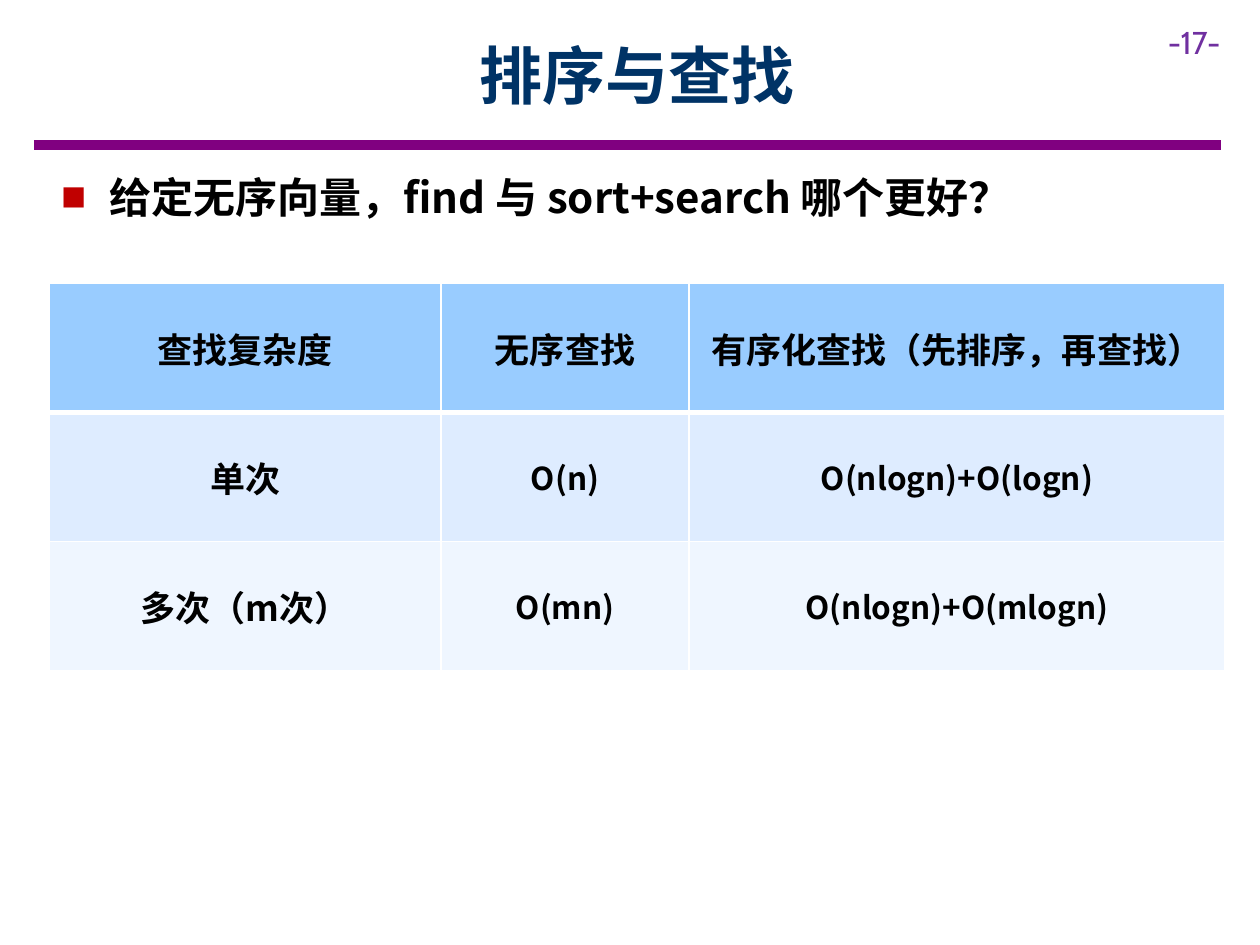
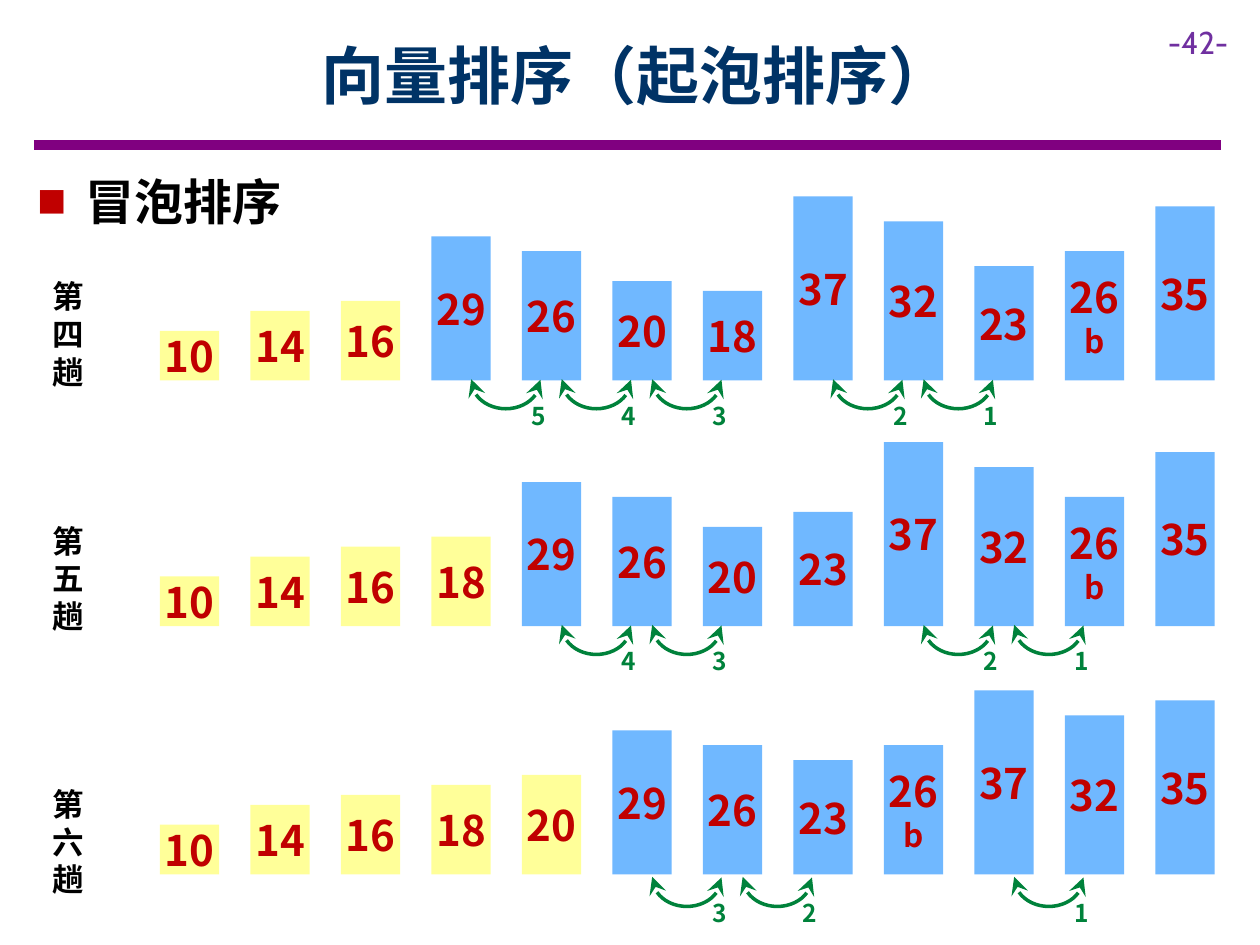
from lxml.etree import SubElement
from pptx import Presentation
from pptx.dml.color import RGBColor
from pptx.enum.shapes import MSO_CONNECTOR, MSO_SHAPE
from pptx.enum.text import MSO_ANCHOR, MSO_AUTO_SIZE, PP_ALIGN
from pptx.oxml.ns import qn
from pptx.util import Inches, Pt

NAVY = RGBColor(0x00, 0x33, 0x66)
PURPLE = RGBColor(0x80, 0x00, 0x80)
VIOLET = RGBColor(0x70, 0x30, 0xA0)
RED = RGBColor(0xC0, 0x00, 0x00)
BLACK = RGBColor(0x00, 0x00, 0x00)
WHITE = RGBColor(0xFF, 0xFF, 0xFF)
GREEN = RGBColor(0x00, 0x82, 0x3B)
BAR_BLUE = RGBColor(0x70, 0xB8, 0xFF)
SORTED_YELLOW = RGBColor(0xFF, 0xFF, 0x99)
ROW_FILLS = [RGBColor(0x99, 0xCC, 0xFF), RGBColor(0xDE, 0xEC, 0xFF), RGBColor(0xEF, 0xF6, 0xFF)]
CJK_FONT = "Noto Sans CJK SC"

HEADING = {"size": Pt(36), "name": CJK_FONT, "bold": True}
PAGE_NUMBER = {"size": Pt(18), "name": "Cabin", "bold": False}
LARGE = {"size": Pt(24), "name": CJK_FONT, "bold": True}
SMALL = {"size": Pt(18), "name": CJK_FONT, "bold": True}
STEP = {"size": Pt(14), "name": CJK_FONT, "bold": True}


def write(paragraph, text, format_values, color, alignment=PP_ALIGN.CENTER):
    paragraph.alignment = alignment
    run = paragraph.add_run()
    run.text = text
    for attribute, value in format_values.items():
        setattr(run.font, attribute, value)
    run.font.color.rgb = color
    SubElement(run.font._element, qn("a:ea"), typeface=format_values["name"])


def add_text(slide, box, text, format_values, color, alignment=PP_ALIGN.CENTER, wrap=True):
    shape = slide.shapes.add_textbox(*map(Inches, box))
    shape.text_frame.word_wrap = wrap
    write(shape.text_frame.paragraphs[0], text, format_values, color, alignment)
    return shape


presentation = Presentation()
presentation.slide_width = Inches(10)
presentation.slide_height = Inches(7.5)

pages = [
    ("排序与查找", "-17-", "给定无序向量，find 与 sort+search 哪个更好？", 24, (0.39, 1.31, 8.94, 0.5)),
    ("向量排序（起泡排序）", "-42-", "冒泡排序", 28, (0.2, 1.31, 9.57, 0.57)),
]
slides = []
for title, number, topic, topic_size, topic_box in pages:
    slide = presentation.slides.add_slide(presentation.slide_layouts[1])
    slides.append(slide)

    rule = slide.shapes.add_connector(
        MSO_CONNECTOR.STRAIGHT, Inches(0.27), Inches(1.15), Inches(9.69), Inches(1.15))
    rule.line.color.rgb = PURPLE
    rule.line.width = Pt(6)
    SubElement(rule._element.spPr, qn("a:effectLst"))
    add_text(slide, (9.17, 0.13, 0.83, 0.4), number, PAGE_NUMBER, VIOLET, PP_ALIGN.LEFT)

    body = slide.placeholders[1]
    for placeholder, box in ((slide.shapes.title, (0.9, 0.09, 8.31, 1)), (body, topic_box)):
        for attribute, value in zip(("left", "top", "width", "height"), box):
            setattr(placeholder, attribute, Inches(value))
        placeholder.text_frame.auto_size = MSO_AUTO_SIZE.NONE
    slide.shapes.title.text_frame.vertical_anchor = MSO_ANCHOR.MIDDLE
    write(slide.shapes.title.text_frame.paragraphs[0], title, HEADING, NAVY)

    paragraph = body.text_frame.paragraphs[0]
    properties = paragraph._element.get_or_add_pPr()
    properties.set("marL", str(Inches(0.38)))
    properties.set("indent", str(-Inches(0.38)))
    bullet_color = SubElement(properties, qn("a:buClr"))
    SubElement(bullet_color, qn("a:srgbClr"), val=str(RED))
    SubElement(properties, qn("a:buSzPct"), val="60000")
    SubElement(properties, qn("a:buFont"), typeface=CJK_FONT)
    SubElement(properties, qn("a:buChar"), char="■")
    paragraph.space_before = Pt(0)
    paragraph.space_after = Pt(6)
    write(paragraph, topic, {**LARGE, "size": Pt(topic_size)}, BLACK, PP_ALIGN.LEFT)

complexities = [
    ["查找复杂度", "无序查找", "有序化查找（先排序，再查找）"],
    ["单次", "O(n)", "O(nlogn)+O(logn)"],
    ["多次（m次）", "O(mn)", "O(nlogn)+O(mlogn)"],
]
table = slides[0].shapes.add_table(
    3, 3, Inches(0.39), Inches(2.25), Inches(9.33), Inches(3.07)).table
for column, width in zip(table.columns, (3.11, 1.97, 4.25)):
    column.width = Inches(width)
for row_index, row_texts in enumerate(complexities):
    for column_index, text in enumerate(row_texts):
        cell = table.cell(row_index, column_index)
        cell.vertical_anchor = MSO_ANCHOR.MIDDLE
        cell_properties = cell._tc.get_or_add_tcPr()
        for side in ("lnL", "lnR", "lnT", "lnB"):
            below_header = (row_index, side) in ((0, "lnB"), (1, "lnT"))
            border = SubElement(
                cell_properties, qn(f"a:{side}"), w=str(Pt(3 if below_header else 1)))
            border_fill = SubElement(border, qn("a:solidFill"))
            SubElement(border_fill, qn("a:srgbClr"), val=str(WHITE))
        cell.fill.solid()
        cell.fill.fore_color.rgb = ROW_FILLS[row_index]
        size = 18 if row_index and column_index else 20
        write(cell.text_frame.paragraphs[0], text, {**LARGE, "size": Pt(size)}, BLACK)

FIRST_BAR = 1.27
PITCH = 7.9 / 11
BAR_WIDTH = 0.47
UNIT_HEIGHT = 1.46 / 37
passes = [
    ("第四趟", 2.15, 3.02, 2.74, 3, "10 14 16 29 26 20 18 37 32 23 26b 35", [8, 7, 5, 4, 3]),
    ("第五趟", 4.09, 4.97, 4.69, 4, "10 14 16 18 29 26 20 23 37 32 26b 35", [9, 8, 5, 4]),
    ("第六趟", 6.18, 6.94, 6.69, 5, "10 14 16 18 20 29 26 23 26b 37 32 35", [9, 6, 5]),
]
slide = slides[1]
for label, label_top, baseline, arc_top, sorted_count, values, swaps in passes:
    caption = add_text(slide, (0.32, label_top, 0.52, 1.01), label, SMALL, BLACK, PP_ALIGN.LEFT)
    caption.text_frame.paragraphs[0].space_after = Pt(6)

    for position, value in enumerate(values.split()):
        digits = value.rstrip("b")
        height = int(digits) * UNIT_HEIGHT
        bar = slide.shapes.add_shape(
            MSO_SHAPE.RECTANGLE, Inches(FIRST_BAR + position * PITCH),
            Inches(baseline - height), Inches(BAR_WIDTH), Inches(height))
        bar.shadow.inherit = False
        bar.fill.solid()
        bar.fill.fore_color.rgb = SORTED_YELLOW if position < sorted_count else BAR_BLUE
        bar.line.fill.background()
        frame = bar.text_frame
        frame.margin_left = frame.margin_right = 0
        frame.margin_top = frame.margin_bottom = Inches(0.1)
        frame.vertical_anchor = MSO_ANCHOR.MIDDLE
        write(frame.paragraphs[0], digits, LARGE, RED)
        if value != digits:
            write(frame.add_paragraph(), "b", SMALL, RED)

    for step, position in enumerate(swaps, start=1):
        arc_left = FIRST_BAR + position * PITCH + 0.36
        arc = slide.shapes.add_shape(
            MSO_SHAPE.ARC, Inches(arc_left), Inches(arc_top), Inches(0.46), Inches(0.55))
        arc.rotation = 90
        arc.adjustments[0] = 162
        arc.adjustments[1] = 54.6
        arc.shadow.inherit = False
        arc.fill.background()
        arc.line.color.rgb = GREEN
        arc.line.width = Pt(2)
        outline = arc._element.spPr.find(qn("a:ln"))
        for end in ("a:headEnd", "a:tailEnd"):
            SubElement(outline, qn(end), type="stealth", w="lg", len="lg")
        add_text(slide, (arc_left + 0.33, arc_top + 0.39, 0.32, 0.34), str(step), STEP, GREEN,
                 wrap=False)

presentation.save("out.pptx")
